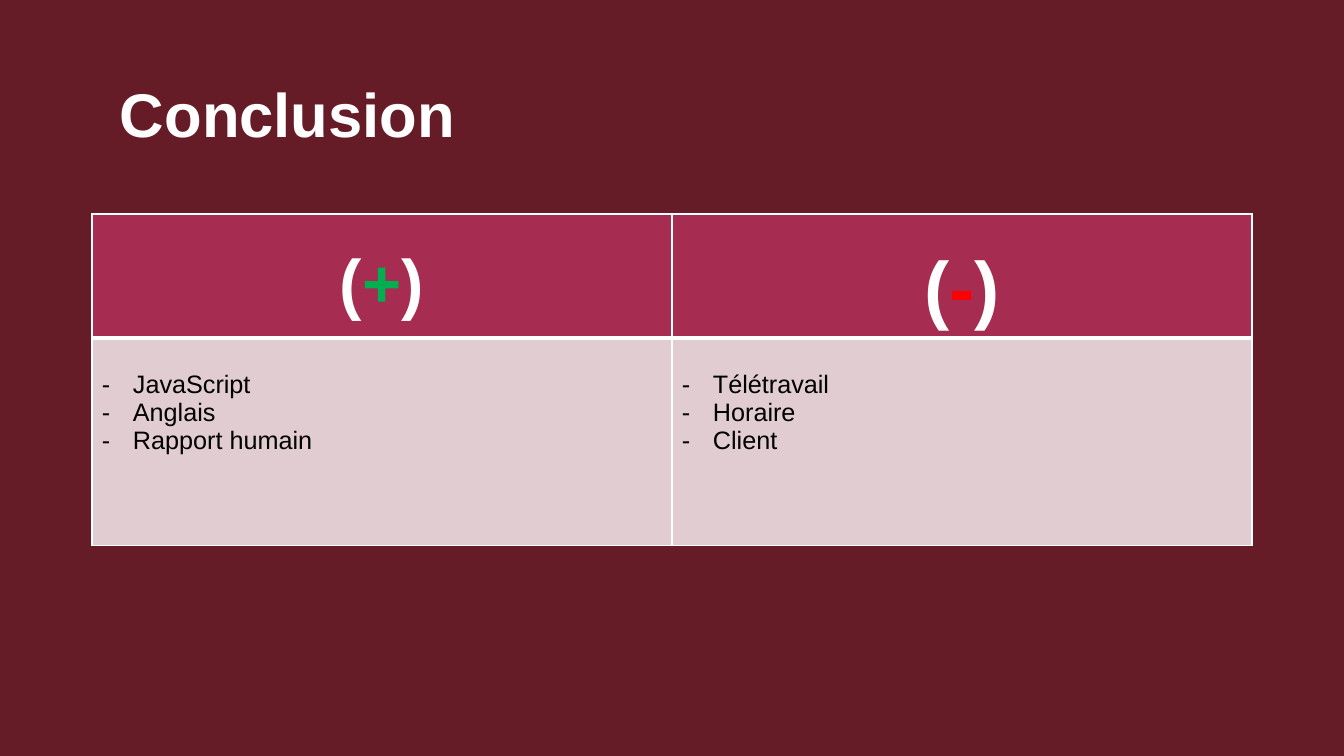
from lxml import etree
from pptx import Presentation
from pptx import util as u
from pptx.dml.color import RGBColor
from pptx.enum import text
from pptx.oxml.ns import qn

PX = 12192000 / 1344
THEME = {
    "font": "Arial",
    "backdrop": "651C27", "header": "A62C52", "body": "E1CDD1",
    "light": "FFFFFF", "dark": "000000", "plus": "00B050", "minus": "FF0000",
    "title_pt": 44, "body_pt": 18,
}


def px(length):
    return u.Emu(round(length * PX))


def add_run(paragraph, wording, size, color, bold):
    run = paragraph.add_run()
    run.text = wording
    for key, value in {"name": THEME["font"], "size": u.Pt(size), "bold": bold}.items():
        setattr(run.font, key, value)
    run.font.color.rgb = RGBColor.from_string(THEME[color])


deck = Presentation()
deck.slide_width, deck.slide_height = px(1344), px(756)
slide = deck.slides.add_slide(deck.slide_layouts[6])
slide.background.fill.solid()
slide.background.fill.fore_color.rgb = RGBColor.from_string(THEME["backdrop"])

# Title
title = slide.shapes.add_textbox(px(93), px(40), px(1159), px(146)).text_frame
for key, value in {"word_wrap": True, "margin_left": px(27),
                   "vertical_anchor": text.MSO_ANCHOR.MIDDLE}.items():
    setattr(title, key, value)
add_run(title.paragraphs[0], "Conclusion", THEME["title_pt"], "light", True)

# Pros and cons: sign, sign colour, sign size, points
columns = [
    ("+", "plus", 48, ["JavaScript", "Anglais", "Rapport humain"]),
    ("-", "minus", 54, ["Télétravail", "Horaire", "Client"]),
]
row_heights = [123, 208]
balance = slide.shapes.add_table(2, 2, px(92), px(214), px(1160), px(sum(row_heights))).table
for row, height in zip(balance.rows, row_heights):
    row.height = px(height)

for col, (sign, sign_color, sign_pt, points) in enumerate(columns):
    balance.columns[col].width = px(580)
    header, body = balance.cell(0, col), balance.cell(1, col)

    # Signs in brackets
    heading = header.text_frame.paragraphs[0]
    heading.alignment = text.PP_ALIGN.CENTER
    for wording, color in [("(", "light"), (sign, sign_color), (")", "light")]:
        add_run(heading, wording, sign_pt, color, True)

    # Dashed lists
    for i, point in enumerate(points):
        frame = body.text_frame
        item = frame.paragraphs[0] if i == 0 else frame.add_paragraph()
        props = item._p.get_or_add_pPr()
        props.set("marL", str(px(31)))
        props.set("indent", str(-px(31)))
        etree.SubElement(props, qn("a:buFont"), typeface=THEME["font"])
        etree.SubElement(props, qn("a:buChar"), char="-")
        add_run(item, point, THEME["body_pt"], "dark", False)

    # Fills, margins and borders
    for cell, fill, bottom_pt in [(header, "header", 3), (body, "body", 1)]:
        for key, value in {"margin_left": px(10), "margin_right": px(10),
                           "margin_top": px(33), "margin_bottom": px(0)}.items():
            setattr(cell, key, value)
        edges = {"lnL": 1, "lnR": 1, "lnT": 3 if cell is body else 1, "lnB": bottom_pt}
        for edge, width in edges.items():
            line = etree.SubElement(cell._tc.get_or_add_tcPr(), qn(f"a:{edge}"), w=str(u.Pt(width)))
            paint = etree.SubElement(line, qn("a:solidFill"))
            etree.SubElement(paint, qn("a:srgbClr"), val=THEME["light"])
        cell.fill.solid()
        cell.fill.fore_color.rgb = RGBColor.from_string(THEME[fill])

deck.save("out.pptx")
